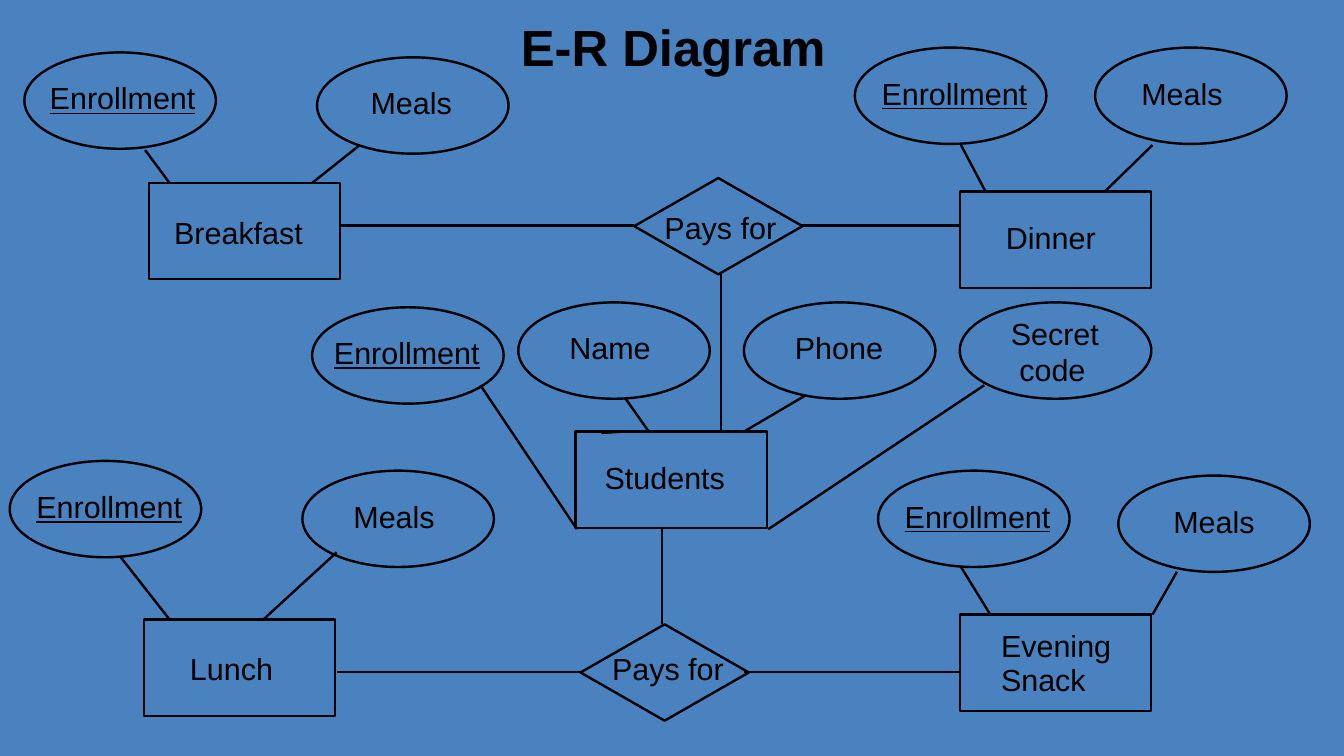
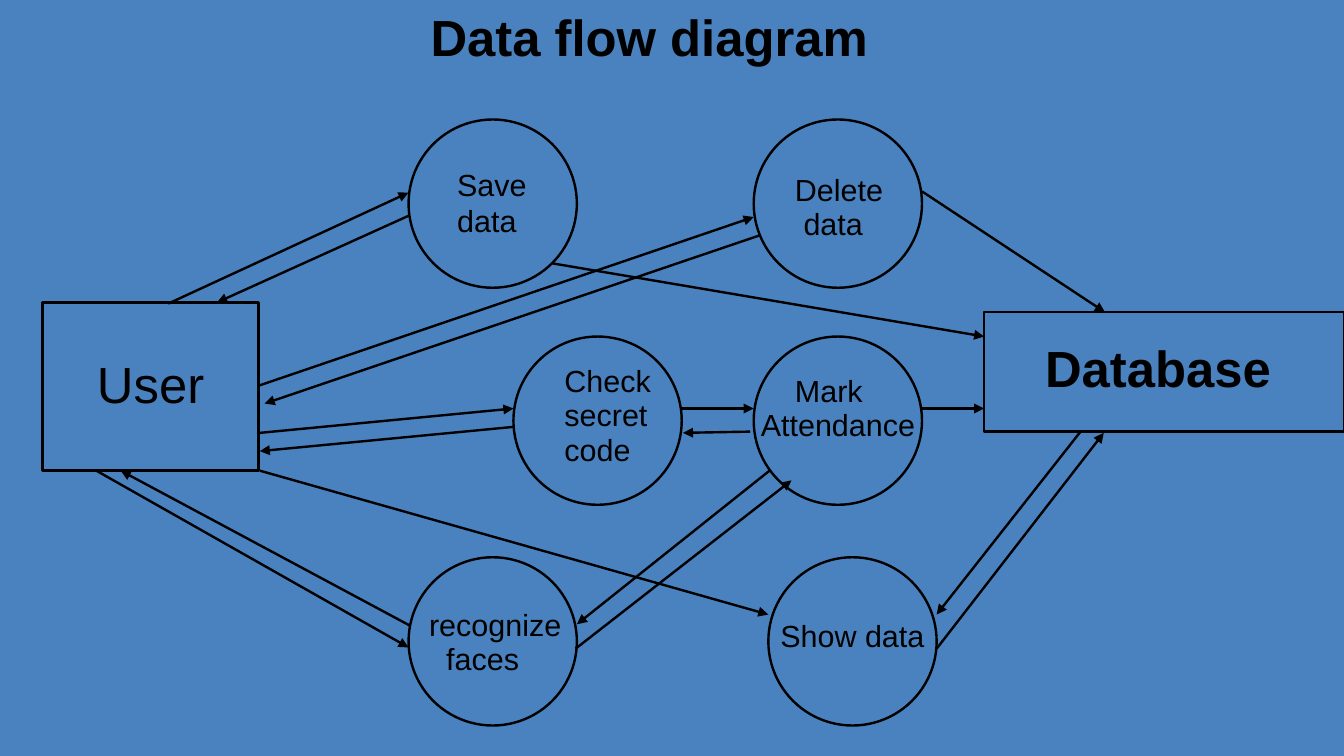
import typing

import pptx
import pptx.dml.color
import pptx.enum.shapes
import pptx.enum.text
import pptx.oxml
import pptx.oxml.ns
import pptx.util

Inches = pptx.util.Inches
Pt = pptx.util.Pt
SHAPE = pptx.enum.shapes.MSO_SHAPE
STRAIGHT = pptx.enum.shapes.MSO_CONNECTOR.STRAIGHT
ANCHOR = pptx.enum.text.MSO_ANCHOR
ALIGN = pptx.enum.text.PP_ALIGN

BLUE = pptx.dml.color.RGBColor(0x49, 0x82, 0xBE)
BLACK = pptx.dml.color.RGBColor(0x00, 0x00, 0x00)
FONT = "Arial"
BODY_SIZE = 18
TITLE_SIZE = 30
LINE_WIDTH = 1.42
LINE_SPACING = 0.93
LOOSE_GAP = 1.2
TITLE_HEIGHT = 0.56
LABEL_PADDING = 0.2

ENTITY_SIZE = ATTRIBUTE_SIZE = (1.57, 0.79)
RELATION_SIZE = (1.38, 0.79)
PROCESS_SIZE = (1.38, 1.38)


class Label(typing.NamedTuple):
    """Text of a node; without an offset it is centred in the shape."""
    lines: typing.Sequence
    offset: typing.Optional[tuple] = None
    indents: typing.Sequence = ()
    gap: float = 0
    size: int = BODY_SIZE
    bold: bool = False
    underline: bool = False
    align: typing.Any = ALIGN.LEFT


class Attribute(typing.NamedTuple):
    """Ellipse and link ends, measured from the corner of the entity."""
    label: Label
    at: tuple
    link_start: tuple
    link_end: tuple


class Entity(typing.NamedTuple):
    """Rectangle with the attributes linked to it."""
    label: Label
    at: tuple
    attributes: typing.Sequence


def enrollment(dx):
    """Return the underlined key label."""
    return Label(["Enrollment"], (dx, 0.2), underline=True)


def plain(text, dx, dy=0.2):
    """Return a one-line label."""
    return Label([text], (dx, dy))


SECRET_CODE = Label(["Secret", "code"], (0.32, 0.08), (0, 0.07), LOOSE_GAP)
CENTRED_MEALS = Label(["Meals"], align=ALIGN.CENTER)

ENTITIES = [
    Entity(plain("Breakfast", 0.11, 0.23), (1.22, 1.5), [
        Attribute(enrollment(0.11), (-1.02, -1.07), (0.17, 0), (-0.03, -0.27)),
        Attribute(plain("Meals", 0.34), (1.38, -1.03), (1.34, 0), (1.73, -0.31)),
    ]),
    Entity(plain("Lunch", 0.28, 0.23), (1.18, 5.08), [
        Attribute(enrollment(0.12), (-1.1, -1.3), (0.21, 0), (-0.19, -0.51)),
        Attribute(plain("Meals", 0.32), (1.3, -1.22), (0.98, 0), (1.58, -0.55)),
    ]),
    Entity(plain("Dinner", 0.28), (7.87, 1.57), [
        Attribute(enrollment(0.12), (-0.86, -1.18), (0.21, 0), (0.01, -0.38)),
        Attribute(plain("Meals", 0.28), (1.11, -1.18), (1.19, 0), (1.58, -0.38)),
    ]),
    Entity(Label(["Evening", "Snack"], (0.24, 0.08)), (7.87, 5.04), [
        Attribute(enrollment(0.12), (-0.67, -1.18), (0.25, 0), (0.01, -0.39)),
        Attribute(CENTRED_MEALS, (1.3, -1.14), (1.58, 0), (1.78, -0.35)),
    ]),
    Entity(plain("Students", 0.14), (4.72, 3.54), [
        Attribute(enrollment(0.08), (-2.16, -1.02), (0.01, 0.8), (-0.78, -0.38)),
        Attribute(plain("Name", 0.32), (-0.47, -1.06), (0.6, 0), (0.41, -0.27)),
        Attribute(plain("Phone", 0.32), (1.38, -1.06), (1.38, 0), (1.89, -0.3)),
        Attribute(SECRET_CODE, (3.15, -1.06), (1.58, 0.8), (3.35, -0.38)),
    ]),
]

RELATIONS = [
    ((5.2, 1.46), plain("Pays for", 0.15, 0.23)),
    ((4.76, 5.12), plain("Pays for", 0.16, 0.19)),
]

RELATION_LINKS = {
    "upper to Students": ((5.91, 2.24), (5.91, 3.54)),
    "upper to Dinner": ((6.57, 1.85), (7.87, 1.85)),
    "Breakfast to upper": ((2.8, 1.85), (5.2, 1.85)),
    "Students to lower": ((5.43, 4.33), (5.43, 5.12)),
    "lower to Snack": ((6.1, 5.51), (7.87, 5.51)),
    "lower to Lunch": ((4.77, 5.51), (2.76, 5.51)),
    "Students top edge": ((5.12, 3.54), (4.93, 3.55)),
}

STORES = [
    ((0.35, 2.48), (1.77, 1.38),
     Label(["User"], size=TITLE_SIZE, align=ALIGN.CENTER)),
    ((8.07, 2.56), (2.95, 0.98),
     Label(["Database"], (0.4, 0.2), size=TITLE_SIZE, bold=True)),
]

PROCESSES = [
    ((3.35, 0.98), Label(["Save", "data"], (0.3, 0.36), gap=LOOSE_GAP)),
    ((6.18, 0.98), Label(["Delete", "data"], (0.24, 0.4), (0, 0.07))),
    ((4.21, 2.76), Label(["Check", "secret", "code"], (0.32, 0.19))),
    ((6.18, 2.76), Label(["Mark", "Attendance"], (-0.04, 0.27), (0.28, 0))),
    ((3.35, 4.57), Label(["recognize", "faces"], (0.07, 0.38), (0, 0.14))),
    ((6.3, 4.57), plain("Show data", 0, 0.47)),
]

FLOWS = {
    "User to Save": ((1.38, 2.49), (3.35, 1.58)),
    "Save to User": ((3.35, 1.77), (1.78, 2.48)),
    "User to Delete": ((2.13, 3.16), (6.18, 1.78)),
    "Delete to User": ((6.23, 1.93), (2.17, 3.31)),
    "User to Check": ((2.13, 3.55), (4.21, 3.35)),
    "Check to User": ((4.22, 3.5), (2.13, 3.7)),
    "Check to Mark": ((5.59, 3.35), (6.18, 3.35)),
    "Mark to Check": ((6.15, 3.54), (5.6, 3.55)),
    "recognize to Mark": ((4.72, 5.32), (6.49, 3.94)),
    "Mark to recognize": ((6.31, 3.86), (4.73, 5.12)),
    "User to recognize": ((0.79, 3.86), (3.35, 5.31)),
    "recognize to User": ((3.36, 5.13), (0.99, 3.86)),
    "Show to Database": ((7.68, 5.32), (9.05, 3.55)),
    "Database to Show": ((8.86, 3.54), (7.68, 5.04)),
    "Save to Database": ((4.53, 2.16), (8.07, 2.76)),
    "Delete to Database": ((7.56, 1.57), (9.06, 2.56)),
    "Mark to Database": ((7.56, 3.35), (8.07, 3.35)),
    "User to Show": ((2.13, 3.86), (6.3, 5.04)),
}


def shift(origin, offset):
    """Return the point that lies at an offset from an origin."""
    return origin[0] + offset[0], origin[1] + offset[1]


def write(tf, label):
    """Fill a text frame with one paragraph per line of a label."""
    tf.word_wrap = True
    for i, line in enumerate(label.lines):
        p = tf.add_paragraph() if i else tf.paragraphs[0]
        p.text = line
        p.alignment = label.align
        p.line_spacing = LINE_SPACING
        p.space_before = Pt(label.gap if i else 0)
        if label.indents:
            p._p.get_or_add_pPr().set("marL", str(Inches(label.indents[i])))
        p.font.name = FONT
        p.font.size = Pt(label.size)
        p.font.color.rgb = BLACK
        p.font.bold = label.bold
        p.font.underline = label.underline


def add_node(s, kind, at, size, label):
    """Draw an outlined shape and its label."""
    sp = s.shapes.add_shape(kind, *map(Inches, at + size))
    sp.shadow.inherit = False
    sp.fill.background()
    sp.line.color.rgb = BLACK
    sp.line.width = Pt(LINE_WIDTH)
    if label.offset is not None:
        left, top = shift(at, label.offset)
        width = size[0] + LABEL_PADDING
        height = 0.1 + len(label.lines) * label.size / 64
        sp = s.shapes.add_textbox(*map(Inches, (left, top, width, height)))
    else:
        sp.text_frame.vertical_anchor = ANCHOR.MIDDLE
    write(sp.text_frame, label)


def add_link(s, start, end, arrow=False):
    """Draw a straight line, with an arrowhead at its end if asked."""
    link = s.shapes.add_connector(STRAIGHT, *map(Inches, start + end))
    link.line.color.rgb = BLACK
    link.line.width = Pt(LINE_WIDTH)
    namespace = pptx.oxml.ns.nsdecls("a")
    spPr = link._element.spPr
    if arrow:
        spPr.get_or_add_ln().append(
            pptx.oxml.parse_xml(f'<a:tailEnd {namespace} type="triangle"/>'))
    spPr.append(pptx.oxml.parse_xml(f"<a:effectLst {namespace}/>"))


def add_entity(s, entity):
    """Draw an entity with its attributes around it."""
    add_node(s, SHAPE.RECTANGLE, entity.at, ENTITY_SIZE, entity.label)
    for attribute in entity.attributes:
        add_node(s, SHAPE.OVAL, shift(entity.at, attribute.at),
                 ATTRIBUTE_SIZE, attribute.label)
        add_link(s, shift(entity.at, attribute.link_start),
                 shift(entity.at, attribute.link_end))


def add_slide(prs, title, left, top, width):
    """Add a title-only slide with its title in place."""
    s = prs.slides.add_slide(prs.slide_layouts[5])
    sp = s.shapes.title
    sp.left, sp.top = Inches(left), Inches(top)
    sp.width, sp.height = Inches(width), Inches(TITLE_HEIGHT)
    sp.text_frame.vertical_anchor = ANCHOR.TOP
    write(sp.text_frame, Label([title], size=TITLE_SIZE, bold=True))
    return s


def build_er_diagram(prs):
    """Build the entity-relationship slide."""
    s = add_slide(prs, "E-R Diagram", 4.17, 0.12, 2.8)
    for entity in ENTITIES:
        add_entity(s, entity)
    for at, label in RELATIONS:
        add_node(s, SHAPE.DIAMOND, at, RELATION_SIZE, label)
    for start, end in RELATION_LINKS.values():
        add_link(s, start, end)


def build_data_flow(prs):
    """Build the data flow slide."""
    s = add_slide(prs, "Data flow diagram", 3.43, 0.04, 6.1)
    for at, size, label in STORES:
        add_node(s, SHAPE.RECTANGLE, at, size, label)
    for at, label in PROCESSES:
        add_node(s, SHAPE.OVAL, at, PROCESS_SIZE, label)
    for start, end in FLOWS.values():
        add_link(s, start, end, arrow=True)


def main():
    """Build and save the presentation."""
    prs = pptx.Presentation()
    prs.slide_width, prs.slide_height = Inches(11.02), Inches(6.2)
    fill = prs.slide_master.background.fill
    fill.solid()
    fill.fore_color.rgb = BLUE
    build_er_diagram(prs)
    build_data_flow(prs)
    prs.save("out.pptx")


if __name__ == "__main__":
    main()
